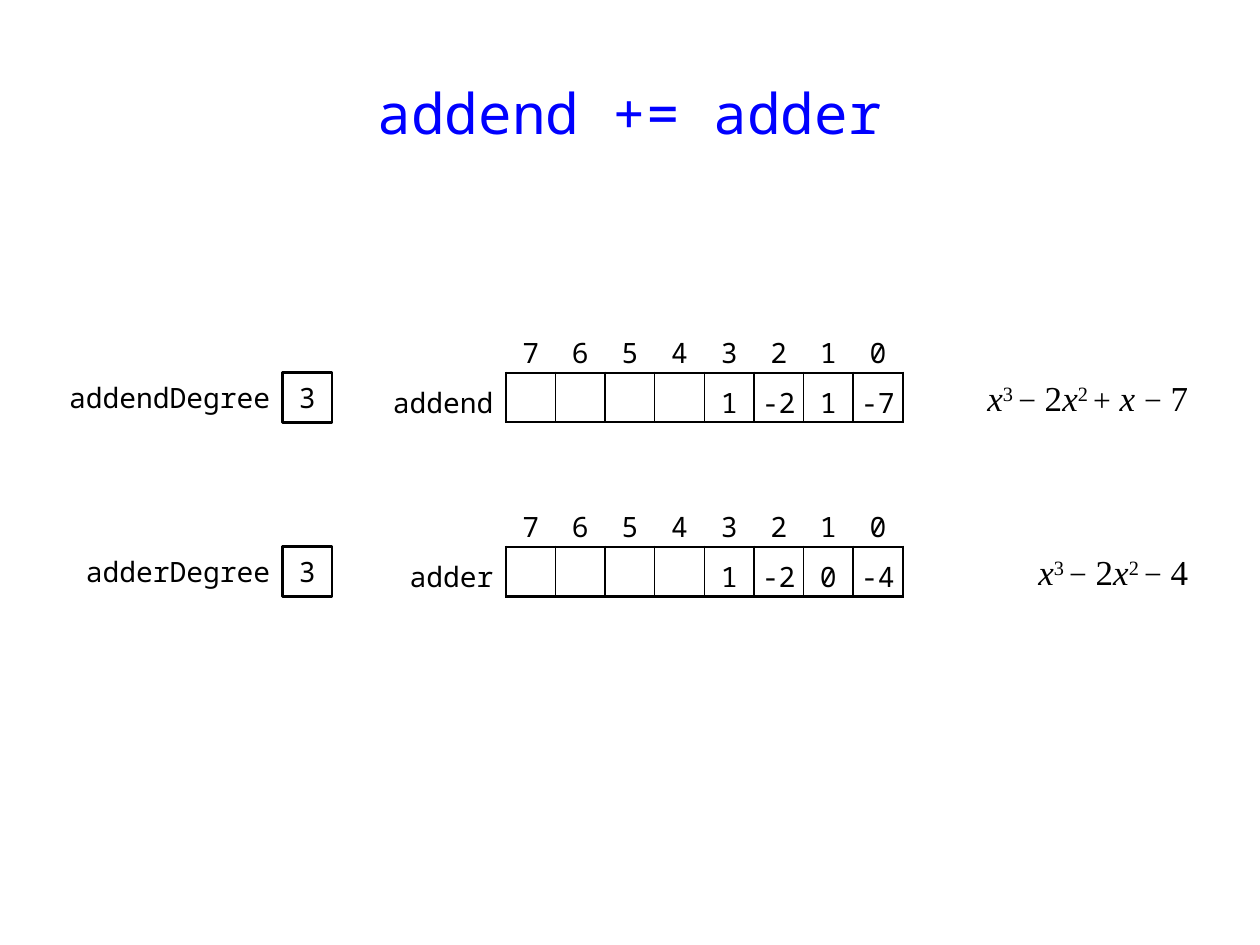
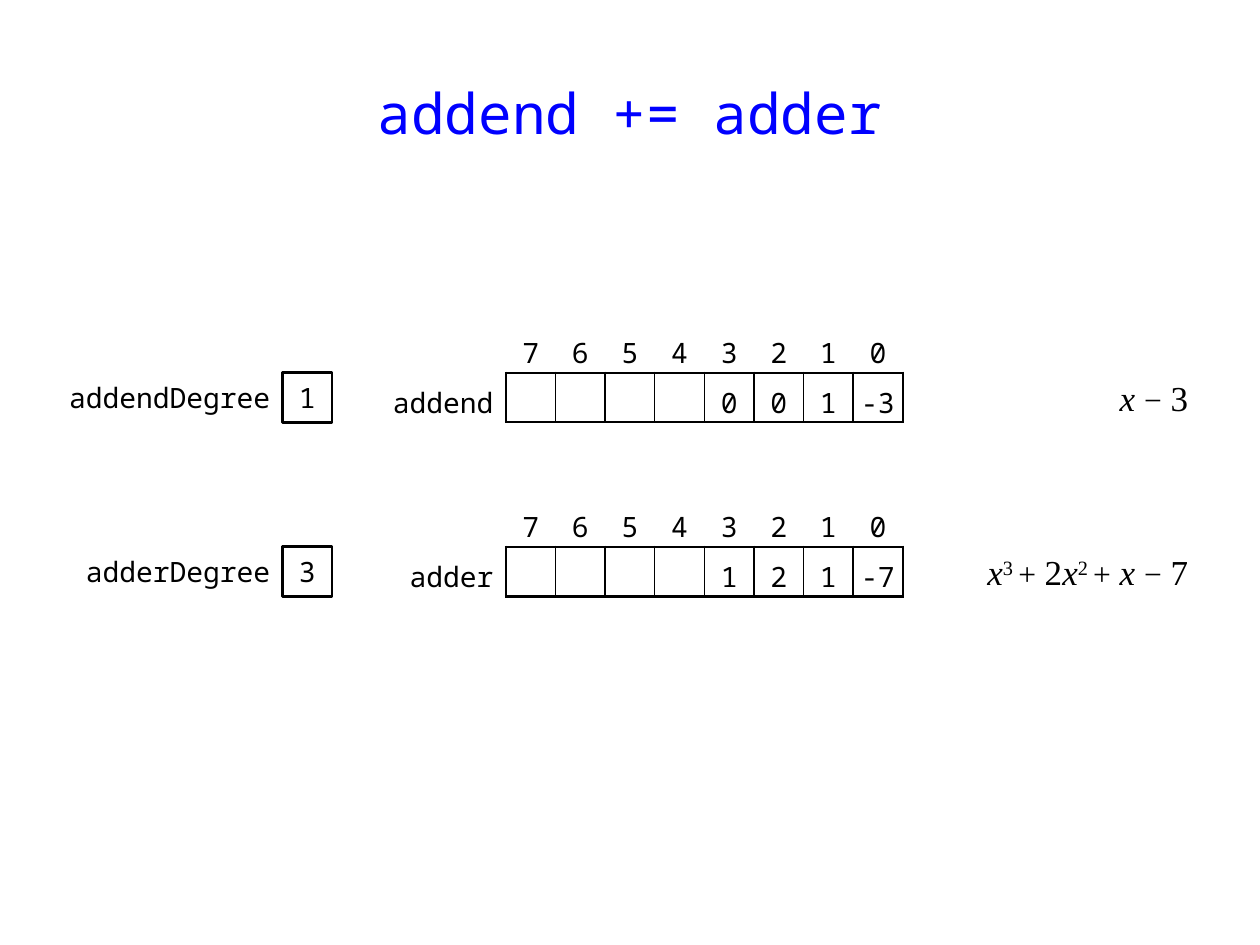
from dataclasses import dataclass

from lxml.etree import SubElement
from pptx import Presentation
from pptx.dml.color import RGBColor
from pptx.enum.shapes import MSO_SHAPE
from pptx.enum.text import MSO_ANCHOR, PP_ALIGN
from pptx.oxml.ns import qn
from pptx.util import Pt

COLORS = {"title": "0000FF", "ink": "000000", "paper": "FFFFFF"}
CODE_FONT = "Noto Sans Mono"
MATH_FONT = "Times New Roman"
CODE_SIZE = 16
TITLE = "addend += adder"

CELL = 28.35
CAPACITY = 8
NAME_WIDTH = 70.87
ARRAY_LEFT = 218.25
DEGREE_LEFT = 161.5
LABEL_LEFT = 20
FORMULA_LEFT, FORMULA_RIGHT = 530, 686
ROW_TOPS = (213, 312.5)
INSET = 7.2
OUTER, INNER = 1.5, 1
NO_TABLE_STYLE = "{2D5ABB26-0587-4C30-8999-92F81FD0307C}"


@dataclass(frozen=True)
class Polynomial:
    name: str
    coefficients: tuple[int, ...]  # lowest power first

    @property
    def degree(self) -> int:
        return max(power for power, value in enumerate(self.coefficients) if value)


@dataclass(frozen=True)
class Piece:
    """A stretch of formula text in one format."""
    text: str
    size: float = 20
    italic: bool = False
    raised: bool = False


SLIDES = (
    (Polynomial("addend", (-7, 1, -2, 1)), Polynomial("adder", (-4, 0, -2, 1))),
    (Polynomial("addend", (-3, 1, 0, 0)), Polynomial("adder", (-7, 1, 2, 1))),
)


def style_run(run, size: float, font: str = CODE_FONT, color: str = "ink") -> None:
    run.font.size = Pt(size)
    run.font.name = font
    run.font.color.rgb = RGBColor.from_string(COLORS[color])


def style_frame(frame, align: PP_ALIGN, inset: float = INSET) -> None:
    frame.word_wrap = True
    frame.vertical_anchor = MSO_ANCHOR.MIDDLE
    frame.margin_left = frame.margin_right = Pt(inset)
    frame.margin_top = frame.margin_bottom = 0
    frame.paragraphs[0].alignment = align


def add_label(slide, text: str, left: float, top: float, width: float, height: float,
              align: PP_ALIGN, size: float = CODE_SIZE, color: str = "ink") -> None:
    label = slide.shapes.add_textbox(Pt(left), Pt(top), Pt(width), Pt(height))
    label.text_frame.text = text
    style_frame(label.text_frame, align)
    style_run(label.text_frame.paragraphs[0].runs[0], size, color=color)


def add_degree(slide, degree: int, top: float) -> None:
    box = slide.shapes.add_shape(MSO_SHAPE.RECTANGLE, Pt(DEGREE_LEFT), Pt(top), Pt(CELL), Pt(CELL))
    box.shadow.inherit = False
    box.fill.solid()
    box.fill.fore_color.rgb = RGBColor.from_string(COLORS["paper"])
    box.line.color.rgb = RGBColor.from_string(COLORS["ink"])
    box.line.width = Pt(OUTER)
    box.text_frame.text = str(degree)
    style_frame(box.text_frame, PP_ALIGN.CENTER, inset=0)
    style_run(box.text_frame.paragraphs[0].runs[0], CODE_SIZE)


def formula_pieces(polynomial: Polynomial) -> list[Piece]:
    pieces: list[Piece] = []
    for power, value in reversed(list(enumerate(polynomial.coefficients))):
        if not value:
            continue
        number = str(abs(value)) if abs(value) != 1 or power == 0 else ""
        if pieces:
            pieces.append(Piece("−" if value < 0 else "+", size=18))
            number = " " + number
        if number:
            pieces.append(Piece(number))
        if power:
            pieces.append(Piece("x " if power == 1 else "x", italic=True))
        if power > 1:
            pieces.append(Piece(f"{power} ", raised=True))
    return pieces


def add_formula(slide, polynomial: Polynomial, top: float) -> None:
    formula = slide.shapes.add_textbox(
        Pt(FORMULA_LEFT), Pt(top), Pt(FORMULA_RIGHT - FORMULA_LEFT), Pt(CELL))
    style_frame(formula.text_frame, PP_ALIGN.RIGHT)
    for piece in formula_pieces(polynomial):
        run = formula.text_frame.paragraphs[0].add_run()
        run.text = piece.text
        style_run(run, piece.size, MATH_FONT)
        run.font.italic = piece.italic
        if piece.raised:
            run.font._element.set("baseline", "30000")


def set_borders(cell, **widths: float) -> None:
    """Draw the given sides (L, R, T, B) with the given widths in points."""
    properties = cell._tc.get_or_add_tcPr()
    for side in "LRTB":
        if side in widths:
            line = SubElement(properties, qn(f"a:ln{side}"), w=str(Pt(widths[side])))
            fill = SubElement(line, qn("a:solidFill"))
            SubElement(fill, qn("a:srgbClr"), val=COLORS["ink"])


def write_cell(cell, text: str, align: PP_ALIGN = PP_ALIGN.CENTER, right: float = 0) -> None:
    cell.fill.background()
    cell.vertical_anchor = MSO_ANCHOR.MIDDLE
    cell.margin_left = cell.margin_top = cell.margin_bottom = 0
    cell.margin_right = Pt(right)
    cell.text_frame.text = text
    paragraph = cell.text_frame.paragraphs[0]
    paragraph.alignment = align
    paragraph.line_spacing = 1.25
    for run in paragraph.runs:
        style_run(run, CODE_SIZE)


def add_array(slide, polynomial: Polynomial, top: float) -> None:
    """Draw the named coefficient array under a row of its indices."""
    frame = slide.shapes.add_table(2, CAPACITY + 1, Pt(ARRAY_LEFT), Pt(top - CELL),
                                   Pt(NAME_WIDTH + CAPACITY * CELL), Pt(2 * CELL))
    array = frame.table
    array.first_row = array.horz_banding = False
    array._tbl.tblPr.find(qn("a:tableStyleId")).text = NO_TABLE_STYLE
    for row in array.rows:
        row.height = Pt(CELL)
    for column in array.columns:
        column.width = Pt(CELL)
    array.columns[0].width = Pt(NAME_WIDTH)

    write_cell(array.cell(0, 0), "")
    set_borders(array.cell(1, 0), R=OUTER)
    write_cell(array.cell(1, 0), polynomial.name, PP_ALIGN.RIGHT, INSET)
    for column in range(1, CAPACITY + 1):
        power = CAPACITY - column
        index, slot = array.cell(0, column), array.cell(1, column)
        set_borders(index, B=OUTER)
        write_cell(index, str(power))
        set_borders(slot, L=OUTER if column == 1 else INNER,
                    R=OUTER if power == 0 else INNER, T=OUTER, B=OUTER)
        used = power < len(polynomial.coefficients)
        write_cell(slot, str(polynomial.coefficients[power]) if used else "")


def add_polynomial(slide, polynomial: Polynomial, top: float) -> None:
    add_array(slide, polynomial, top)
    add_formula(slide, polynomial, top)
    add_label(slide, f"{polynomial.name}Degree", LABEL_LEFT, top,
              DEGREE_LEFT - LABEL_LEFT, CELL, PP_ALIGN.RIGHT)
    add_degree(slide, polynomial.degree, top)


def main() -> None:
    deck = Presentation()
    deck.slide_width, deck.slide_height = Pt(720), Pt(540)
    for polynomials in SLIDES:
        slide = deck.slides.add_slide(deck.slide_layouts[6])
        add_label(slide, TITLE, 34, 29, 652, 70.5, PP_ALIGN.CENTER, size=32, color="title")
        for polynomial, top in zip(polynomials, ROW_TOPS):
            add_polynomial(slide, polynomial, top)
    deck.save("out.pptx")


if __name__ == "__main__":
    main()
